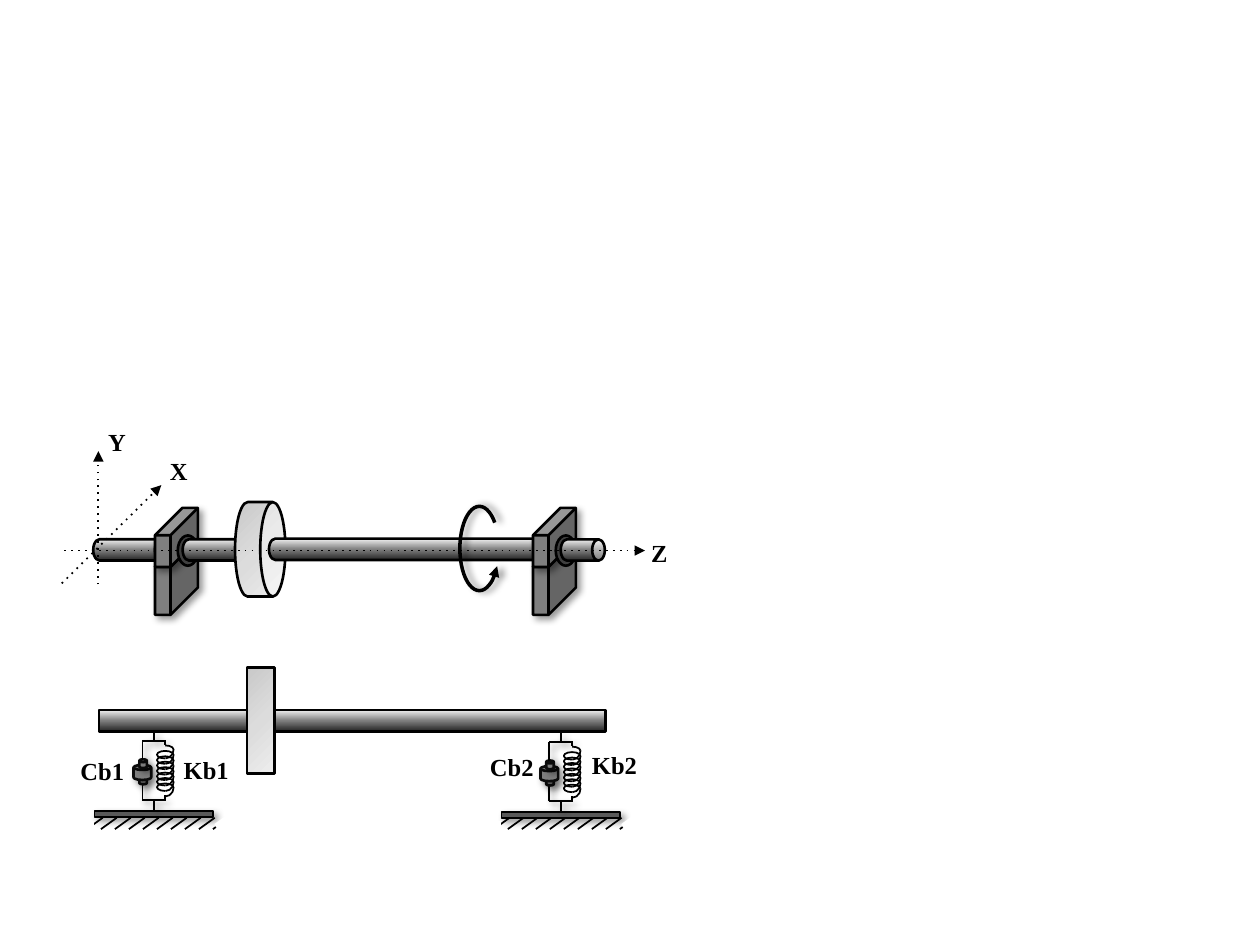
from lxml import etree
from pptx import Presentation
from pptx.dml.color import RGBColor
from pptx.enum.shapes import MSO_CONNECTOR, MSO_SHAPE
from pptx.enum.text import MSO_AUTO_SIZE
from pptx.oxml.ns import qn
from pptx.util import Pt

STRAIGHT = MSO_CONNECTOR.STRAIGHT
CAN, CUBE, ARC = MSO_SHAPE.CAN, MSO_SHAPE.CUBE, MSO_SHAPE.ARC
OVAL, RECTANGLE = MSO_SHAPE.OVAL, MSO_SHAPE.RECTANGLE
DRUM = MSO_SHAPE.FLOWCHART_DIRECT_ACCESS_STORAGE
FIT_TEXT = MSO_AUTO_SIZE.SHAPE_TO_FIT_TEXT

FONT = "Times New Roman"
COLORS = {
    "black": "000000", "white": "FFFFFF", "steel": "7F7F7F", "bore": "3F3F3F",
    "drum_line": "0C0C0C", "ground": "595959",
}
GRADIENTS = {
    "shaft": (("F2F2F2", "7F7F7F", "262626"), 0),
    "disk": (("C9C9C9", "DCDCDC", "EDEDED"), 45),
}
HATCH_TOP = 467.3
HATCH_COUNT, HATCH_STEP = 10, 8
COIL_COUNT, COIL_STEP = 8, 3.1


def color(name):
    return RGBColor.from_string(COLORS[name])


def add_child(parent, tag, **attributes):
    return etree.SubElement(parent, qn(tag), attributes)


def set_gradient(shape, name):
    tones, angle = GRADIENTS[name]
    shape.fill.gradient()
    shape.fill.gradient_angle = angle
    stops = shape._element.spPr.find(".//" + qn("a:gsLst"))
    for stop in list(stops):
        stops.remove(stop)
    for position, tone in zip((0, 50000, 100000), tones):
        stop = add_child(stops, "a:gs", pos=str(position))
        add_child(stop, "a:srgbClr", val=tone)


def set_shadow(shape, direction):
    effects = add_child(shape._element.spPr, "a:effectLst")
    if direction is None:
        return
    shadow = add_child(effects, "a:outerShdw", blurRad=str(Pt(4)), dist=str(Pt(3)),
                       dir=str(direction * 60000), algn="ctr", rotWithShape="0")
    tone = add_child(shadow, "a:srgbClr", val=COLORS["black"])
    add_child(tone, "a:alpha", val="40000")


def set_line(shape, width, name="black", dotted=False, head=False, tail=False):
    shape.line.color.rgb = color(name)
    shape.line.width = Pt(width)
    line = shape.line._get_or_add_ln()
    if dotted:
        add_child(line, "a:prstDash", val="dot")
    if head:
        add_child(line, "a:headEnd", type="triangle")
    if tail:
        add_child(line, "a:tailEnd", type="triangle")


def add_part(group, kind, box, fill=None, rotation=0, adjustments=(), line="black",
             width=1.5, shadow=None, flip=False, head=False):
    shape = group.shapes.add_shape(kind, *map(Pt, box))
    shape.rotation = rotation
    for index, value in enumerate(adjustments):
        shape.adjustments[index] = value
    if fill is None:
        shape.fill.background()
    elif fill in GRADIENTS:
        set_gradient(shape, fill)
    else:
        shape.fill.solid()
        shape.fill.fore_color.rgb = color(fill)
    set_line(shape, width, line, head=head)
    set_shadow(shape, shadow)
    if flip:
        shape._element.spPr.find(qn("a:xfrm")).set("flipH", "1")
    return shape


def add_line(group, start, end, shadow=None, dotted=False, tail=False):
    connector = group.shapes.add_connector(STRAIGHT, *map(Pt, start + end))
    set_line(connector, 1, dotted=dotted, tail=tail)
    set_shadow(connector, shadow)
    return connector


def add_shaft(group, left, top, length):
    add_part(group, CAN, (left, top, 12.2, length), "shaft", 90, (0.595,))


def add_bearing(group, left):
    for top, height in ((308.2, 43.2), (290.2, 33.8)):
        add_part(group, CUBE, (left, top, 24.5, height), "steel",
                 adjustments=(0.64,), shadow=45)
    add_part(group, OVAL, (left + 13, 306, 11.5, 17.3), "bore")


def add_spring(group, x, y):
    for index in range(COIL_COUNT):
        top = y + 5.8 + index * COIL_STEP
        inner_end = 108.12 if index else 215.89
        add_part(group, ARC, (x + 4.4, top, 4.3, 9.4), rotation=90,
                 adjustments=(161.12, inner_end), width=1, flip=True)
        add_part(group, ARC, (x + 1.4, top, 10.6, 9.4), rotation=90,
                 adjustments=(107.91, 161.95), width=1, flip=True)
    for start, end in ((7.9, 5.8), (38.9, 36.7)):
        add_line(group, (x + 6.5, y + start), (x + 6.5, y + end))


def add_damper(group, x, y):
    add_line(group, (x - 6.5, y + 39.6), (x - 6.5, y + 28.8), 45)
    for left, top, width, height in ((-8.6, 25.9, 5, 4.3), (-10.8, 18.7, 8.6, 10.1),
                                     (-8.6, 16.6, 5, 4.3)):
        add_part(group, DRUM, (x + left, y + top, width, height), "steel", 270,
                 line="drum_line", shadow=45)
    add_line(group, (x - 6.5, y + 16.6), (x - 6.5, y + 5.8), 45)


def add_ground(group, x, y):
    ground = add_part(group, RECTANGLE, (x - 33.85, y + 45.7, 67.7, 3.6), "ground",
                      width=1, shadow=45)
    for index in range(HATCH_COUNT):
        left = x - 38.2 + index * HATCH_STEP
        add_line(group, (left, HATCH_TOP + 6.5), (left + 9, HATCH_TOP))
    add_part(group, RECTANGLE, (x - 43.9, HATCH_TOP + 2.1, 9.4, 9.4), "white", 270,
             line="white", width=1)
    add_part(group, RECTANGLE, (x + 37.4, HATCH_TOP - 0.7, 7.2, 9.4), "white", 234.2,
             line="white", width=1)
    return ground


def add_support(group, x, y):
    add_spring(group, x, y)
    add_damper(group, x, y)
    for level in (39.6, 5.8):
        add_line(group, (x - 6.5, y + level), (x + 7.2, y + level), 45)
    add_line(group, (x, y + 5.8), (x, y), 45)
    ground = add_ground(group, x, y)
    stem = add_line(group, (x, y + 45.7), (x, y + 39.6), 45)
    stem.begin_connect(ground, 0)


def add_rotor_view(slide):
    group = slide.shapes.add_group_shape()
    add_shaft(group, 68.4, 293, 42.5)
    add_bearing(group, 88.6)
    add_shaft(group, 119.5, 293, 42.5)
    add_part(group, CAN, (121.7, 299.5, 54, 28.8), "disk", 90, (0.5,))
    add_shaft(group, 234, 227.5, 172.8)
    add_bearing(group, 304.6)
    add_shaft(group, 326.9, 301.7, 25.2)
    for start, end in (((56.2, 334), (56.2, 257.8)), ((36.7, 314.6), (368.6, 314.6)),
                       ((35.3, 333.4), (92.2, 277.2))):
        add_line(group, start, end, dotted=True, tail=True)
    add_part(group, ARC, (262.8, 289.4, 22.3, 48.2), adjustments=(26.93, 180.44),
             width=2, shadow=0, head=True)


def add_model_view(slide):
    group = slide.shapes.add_group_shape()
    add_part(group, RECTANGLE, (195.1, 267.1, 12.2, 289.4), "shaft", 90)
    add_support(group, 87.9, 417.6)
    add_support(group, 320.4, 418.3)
    add_part(group, RECTANGLE, (118.8, 403.9, 60.5, 15.8), "disk", 90)


def add_label(slide, text, left, top, width):
    box = slide.shapes.add_textbox(Pt(left), Pt(top), Pt(width), Pt(24.5))
    box.text_frame.word_wrap = False
    box.text_frame.auto_size = FIT_TEXT
    run = box.text_frame.paragraphs[0].add_run()
    run.text = text
    run.font.name = FONT
    run.font.size = Pt(14)
    run.font.bold = True
    run.font.color.rgb = color("black")


def main():
    presentation = Presentation()
    presentation.slide_width = Pt(720)
    presentation.slide_height = Pt(540)
    slide = presentation.slides.add_slide(presentation.slide_layouts[6])
    add_rotor_view(slide)
    add_model_view(slide)
    for label in (("X", 90, 257, 24.5), ("Y", 54.7, 240.5, 24.5), ("Z", 365, 303.8, 23.8),
                  ("Cb1", 38.9, 428.4, 39.6), ("Kb1", 97.9, 427.7, 40.3),
                  ("Cb2", 272.9, 426.2, 39.6), ("Kb2", 331.2, 424.8, 40.3)):
        add_label(slide, *label)
    presentation.save("out.pptx")


if __name__ == "__main__":
    main()
